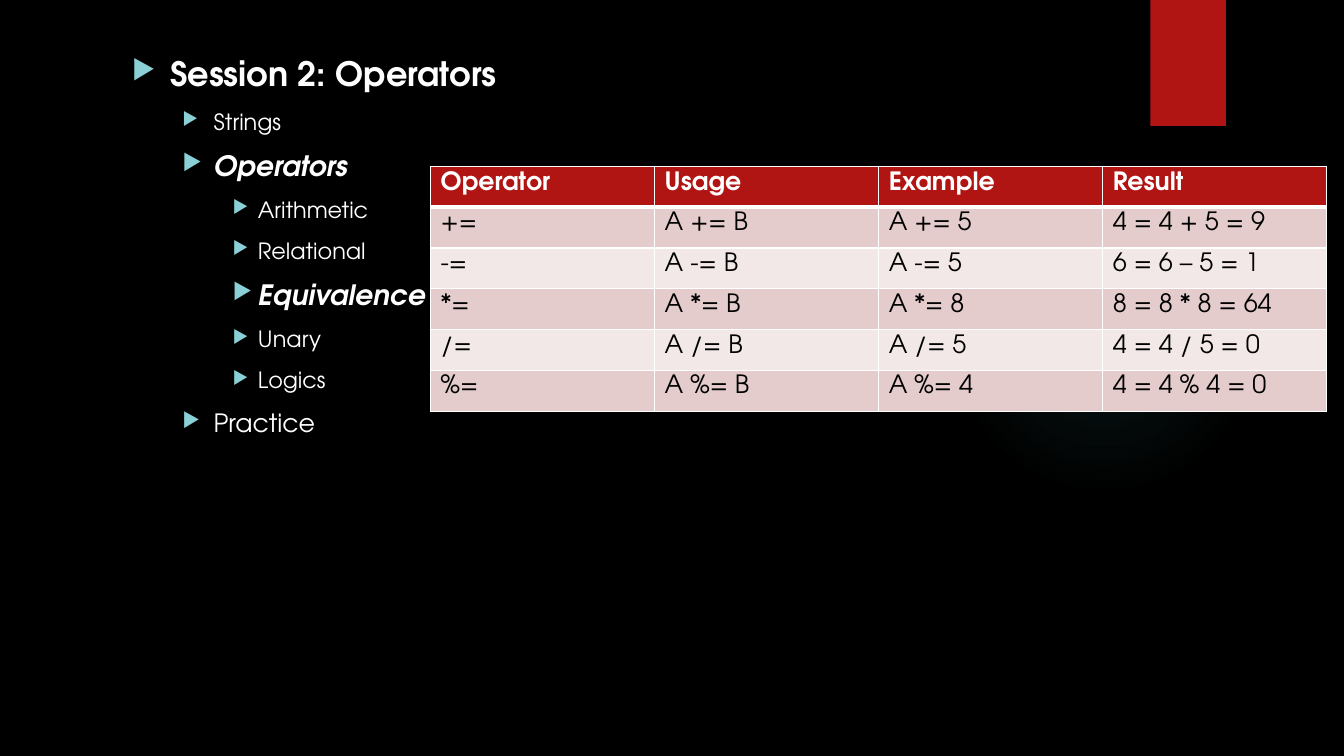
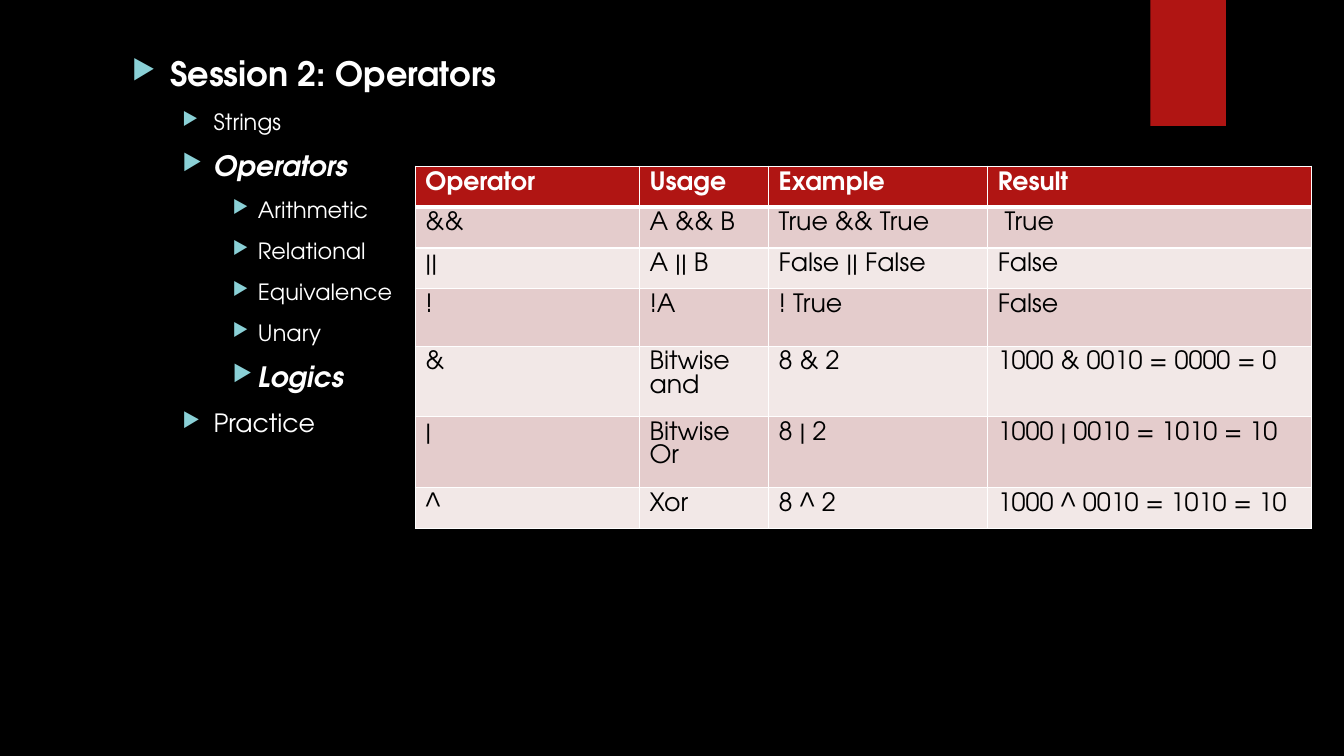
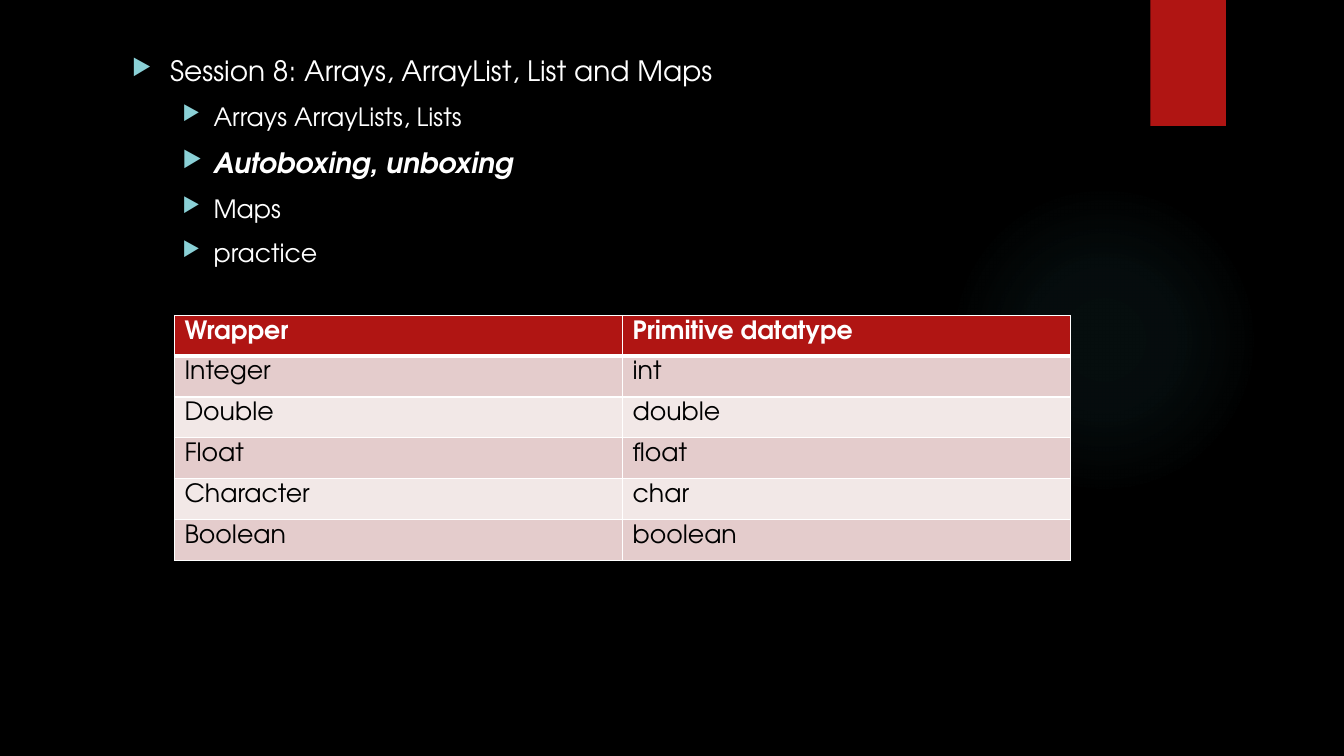
from dataclasses import dataclass

from lxml import etree
from pptx import Presentation
from pptx.dml.color import RGBColor
from pptx.enum.shapes import MSO_SHAPE
from pptx.oxml import parse_xml
from pptx.oxml.ns import nsdecls, qn
from pptx.util import Inches, Pt


@dataclass(frozen=True)
class Theme:
    font: str = "TeX Gyre Adventor"
    bullet_font: str = "OpenSymbol"
    background: str = "000000"
    text: str = "FFFFFF"
    cell_text: str = "000000"
    accent: str = "B01513"
    glow: str = "50B9C1"
    bullet: str = "8AD0D6"
    bands: tuple = ("E4CCCC", "F2E8E7")
    rule: str = "FFFFFF"
    title: int = 24
    key: int = 20
    body: int = 18
    small: int = 16
    cell: int = 18


THEME = Theme()
SLIDE_W, SLIDE_H = 13.33, 7.5
OUTLINE_BOX = (1.21, 0.48, 9.78, 6.35)
GLOW_BOX = (9.41, 1.83, 3.08, 3.08)
RIBBON_BOX = (11.41, 0, 0.75, 1.25)
GLOW_STOPS = ((0, 7), (36, 6), (69, 0))  # position %, opacity %
INDENTS = ((0.38, 0.38), (0.81, 0.31), (1.25, 0.25))  # text, hanging
TABLE_W, TABLE_H = 8.89, 2.43
ROW_H = TABLE_H / 6
TALL_ROW_H = 0.57

# Text styles: size, bold, italic
STYLES = {
    "title": (THEME.title, True, False),
    "lead": (THEME.key, False, False),
    "key": (THEME.key, True, True),
    "body": (THEME.body, False, False),
    "small": (THEME.small, False, False),
}


# Content
def operators_outline(current):
    kinds = ("Arithmetic", "Relational", "Equivalence", "Unary", "Logics")
    return [
        (0, "title", "Session 2: Operators"),
        (1, "small", "Strings"),
        (1, "key", "Operators"),
        *[(2, "key" if kind == current else "small", kind) for kind in kinds],
        (1, "body", "Practice"),
    ]


OPERATOR_HEADER = ("Operator", "Usage", "Example", "Result")

SLIDES = [
    {
        "outline": operators_outline("Equivalence"),
        "corner": (4.27, 1.65),
        "columns": (1, 1, 1, 1),
        "tall_rows": (),
        "rows": [
            OPERATOR_HEADER,
            ("+=", "A += B", "A += 5", "4 = 4 + 5 = 9"),
            ("-=", "A -= B", "A -= 5", "6 = 6 – 5 = 1"),
            ("*=", "A *= B", "A *= 8", "8 = 8 * 8 = 64"),
            ("/=", "A /= B", "A /= 5", "4 = 4 / 5 = 0"),
            ("%=", "A %= B", "A %= 4", "4 = 4 % 4 = 0"),
        ],
    },
    {
        "outline": operators_outline("Logics"),
        "corner": (4.12, 1.65),
        "columns": (2.22, 1.28, 2.17, 3.21),
        "tall_rows": (3, 4, 5),
        "rows": [
            OPERATOR_HEADER,
            ("&&", "A && B", "True && True", " True"),
            ("||", "A || B", "False || False", "False"),
            ("!", "!A", "! True", "False"),
            ("&", "Bitwise and", "8 & 2", "1000 & 0010 = 0000 = 0"),
            ("|", "Bitwise\nOr", "8 | 2", "1000 | 0010 = 1010 = 10"),
            ("^", "Xor", "8 ^ 2", "1000 ^ 0010 = 1010 = 10"),
        ],
    },
    {
        "outline": [
            (0, "lead", "Session 8: Arrays, ArrayList, List and Maps"),
            (1, "body", "Arrays ArrayLists, Lists"),
            (1, "key", "Autoboxing, unboxing"),
            (1, "body", "Maps"),
            (1, "body", "practice"),
        ],
        "corner": (1.73, 3.13),
        "columns": (1, 1),
        "tall_rows": (),
        "rows": [
            ("Wrapper", "Primitive datatype"),
            ("Integer", "int"),
            ("Double", "double"),
            ("Float", "float"),
            ("Character", "char"),
            ("Boolean", "boolean"),
        ],
    },
]


def inches(box):
    return [Inches(length) for length in box]


def set_font(paragraph, size, color, bold=False, italic=False):
    font = paragraph.font
    font.name, font.size = THEME.font, Pt(size)
    font.bold, font.italic = bold, italic
    font.color.rgb = RGBColor.from_string(color)


# Shared decoration
def add_decoration(slide):
    glow = slide.shapes.add_shape(MSO_SHAPE.OVAL, *inches(GLOW_BOX))
    ribbon = slide.shapes.add_shape(MSO_SHAPE.RECTANGLE, *inches(RIBBON_BOX))
    for shape in (glow, ribbon):
        shape.shadow.inherit = False
        shape.line.fill.background()
    ribbon.fill.solid()
    ribbon.fill.fore_color.rgb = RGBColor.from_string(THEME.accent)

    stops = "".join(
        f'<a:gs pos="{position * 1000}"><a:srgbClr val="{THEME.glow}">'
        f'<a:alpha val="{opacity * 1000}"/></a:srgbClr></a:gs>'
        for position, opacity in GLOW_STOPS)
    geometry = glow.element.spPr.find(qn("a:prstGeom"))
    geometry.addnext(parse_xml(
        f'<a:gradFill {nsdecls("a")}><a:gsLst>{stops}</a:gsLst>'
        '<a:path path="circle"><a:fillToRect l="50000" t="50000" r="50000" '
        'b="50000"/></a:path></a:gradFill>'))


# Bulleted outline
def add_bullet(paragraph, level):
    left, hanging = INDENTS[level]
    props = paragraph._p.get_or_add_pPr()
    props.set("marL", str(Inches(left)))
    props.set("indent", str(-Inches(hanging)))
    color = etree.SubElement(props, qn("a:buClr"))
    etree.SubElement(color, qn("a:srgbClr"), val=THEME.bullet)
    etree.SubElement(props, qn("a:buSzPct"), val="80000")
    etree.SubElement(props, qn("a:buFont"), typeface=THEME.bullet_font)
    etree.SubElement(props, qn("a:buChar"), char="▶")


def add_outline(slide, outline):
    frame = slide.shapes.add_textbox(*inches(OUTLINE_BOX)).text_frame
    frame.word_wrap = True
    frame.text = "\n".join(text for _, _, text in outline)
    for paragraph, (level, style, _) in zip(frame.paragraphs, outline):
        size, bold, italic = STYLES[style]
        paragraph.level = level
        paragraph.space_before = Pt(10)
        add_bullet(paragraph, level)
        set_font(paragraph, size, THEME.text, bold, italic)


# Table
def set_borders(cell, row):
    widths = {"L": 1, "R": 1, "T": 3 if row == 1 else 1, "B": 3 if row == 0 else 1}
    props = cell._tc.get_or_add_tcPr()
    for side, width in widths.items():
        border = etree.SubElement(props, qn(f"a:ln{side}"), w=str(Pt(width)))
        fill = etree.SubElement(border, qn("a:solidFill"))
        etree.SubElement(fill, qn("a:srgbClr"), val=THEME.rule)


def add_grid(slide, corner, columns, rows, tall_rows):
    heights = [TALL_ROW_H if row in tall_rows else ROW_H for row in range(len(rows))]
    box = (*corner, TABLE_W, sum(heights))
    table = slide.shapes.add_table(len(rows), len(columns), *inches(box)).table
    for column, share in zip(table.columns, columns):
        column.width = Inches(TABLE_W * share / sum(columns))
    for row, (height, texts) in enumerate(zip(heights, rows)):
        table.rows[row].height = Inches(height)
        header = row == 0
        fill = THEME.accent if header else THEME.bands[(row - 1) % 2]
        for column, text in enumerate(texts):
            cell = table.cell(row, column)
            cell.text = text
            set_borders(cell, row)
            cell.fill.solid()
            cell.fill.fore_color.rgb = RGBColor.from_string(fill)
            for paragraph in cell.text_frame.paragraphs:
                set_font(paragraph, THEME.cell,
                         THEME.text if header else THEME.cell_text, bold=header)


def main():
    deck = Presentation()
    deck.slide_width, deck.slide_height = Inches(SLIDE_W), Inches(SLIDE_H)
    backdrop = deck.slide_master.background.fill
    backdrop.solid()
    backdrop.fore_color.rgb = RGBColor.from_string(THEME.background)
    for content in SLIDES:
        slide = deck.slides.add_slide(deck.slide_layouts[6])
        add_decoration(slide)
        add_outline(slide, content["outline"])
        add_grid(slide, content["corner"], content["columns"],
                 content["rows"], content["tall_rows"])
    deck.save("out.pptx")


if __name__ == "__main__":
    main()
